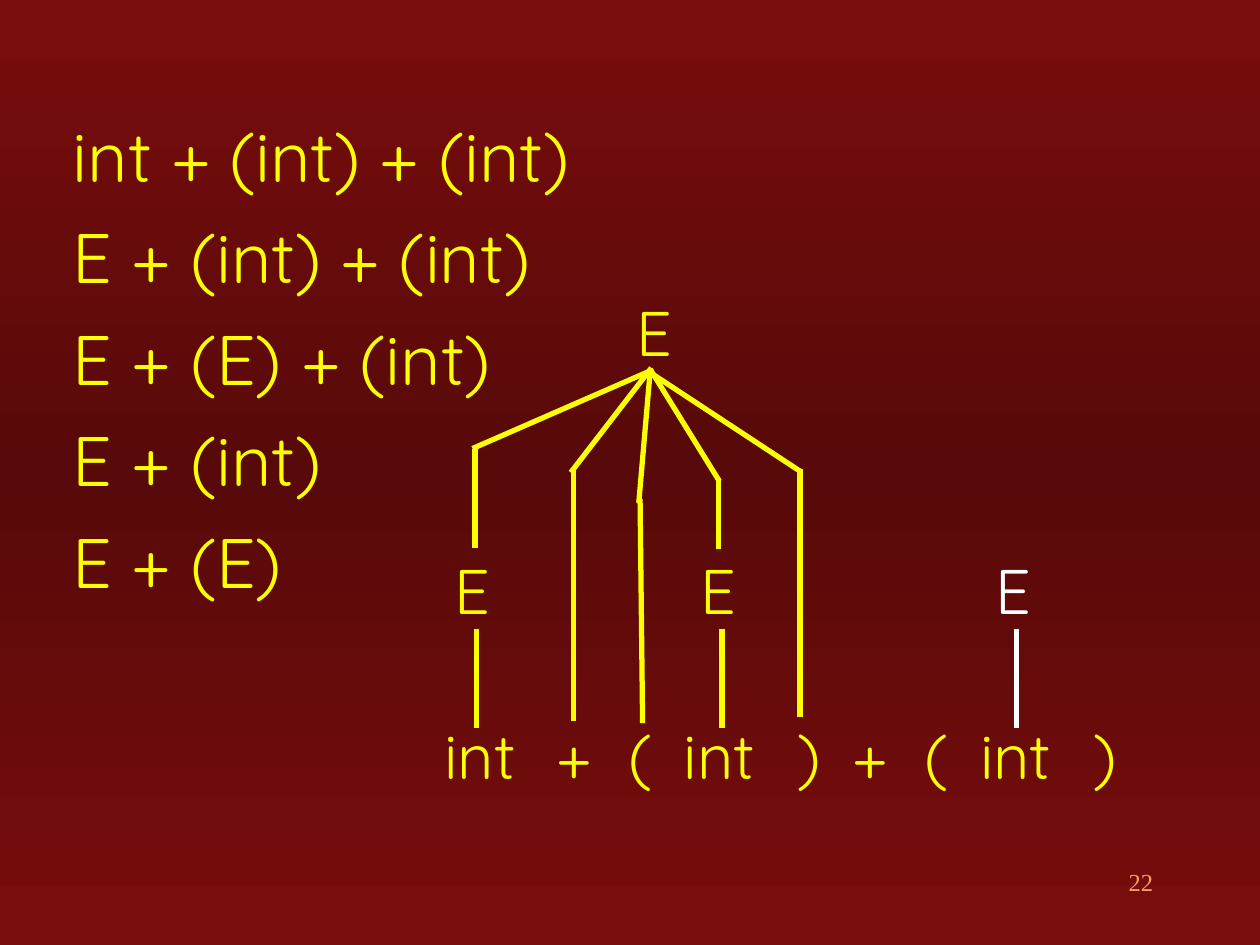
from copy import deepcopy

from pptx import Presentation
from pptx.dml.color import RGBColor
from pptx.enum.shapes import MSO_CONNECTOR as Connector
from pptx.enum.text import MSO_AUTO_SIZE as AutoSize, PP_ALIGN as Align
from pptx.oxml.ns import qn
from pptx.oxml.xmlchemy import OxmlElement
from pptx.util import Inches, Pt

YELLOW, WHITE, ORANGE = "FFFF00", "FFFFFF", "FF9966"
RED, DARK_RED = "790D0D", "580909"

DERIVATION = [
    "int + (int) + (int)",
    "E + (int) + (int)",
    "E + (E) + (int)",
    "E + (int)",
    "E + (E)",
]
TOKENS = [
    ("int", 3.43), ("+", 4.32), ("(", 4.89), ("int", 5.33), (")", 6.23),
    ("+", 6.67), ("(", 7.24), ("int", 7.68), (")", 8.58),
]
WIDTHS = {"int": 0.82, "+": 0.48, "E": 0.48, "(": 0.35, ")": 0.35}

# Stem x and colour of each E that stands above an int
REDUCTIONS = [(3.78, YELLOW), (5.73, YELLOW), (8.07, WHITE)]

# Lower part of each branch, then the slanted part up to the root
DROPS = [
    ((3.77, 3.56), (3.77, 4.35)),
    ((4.55, 3.73), (4.55, 5.72)),
    ((5.08, 3.96), (5.10, 5.74)),
    ((6.35, 3.72), (6.35, 5.69)),
    ((5.70, 3.79), (5.70, 4.36)),
]
SLANTS = [
    ((5.17, 2.94), (3.75, 3.56)),
    ((5.17, 2.92), (4.53, 3.75)),
    ((5.16, 2.95), (5.07, 3.99)),
    ((5.16, 2.93), (5.71, 3.82)),
    ((5.15, 2.95), (6.35, 3.74)),
]


def color(value):
    return RGBColor.from_string(value)


class Painter:
    font = "Quicksand"
    symbol_size = 36
    line_width = 3

    def __init__(self, page):
        self.page = page

    def background(self, edge, middle):
        """Fill the page with a vertical gradient, edge to middle to edge."""
        fill = self.page.background.fill
        fill.gradient()
        fill.gradient_angle = 90
        stop_list = self.page.element.find(".//" + qn("a:gsLst"))
        stop_list.append(deepcopy(stop_list[0]))
        stops = zip(fill.gradient_stops, (0, 0.5, 1), (edge, middle, edge))
        for stop, position, value in stops:
            stop.position = position
            stop.color.rgb = color(value)

    def text(self, lines, left, top, width, height, size, ink=YELLOW,
             font=None, align=Align.LEFT, before=0, wrap=True):
        box = self.page.shapes.add_textbox(
            Inches(left), Inches(top), Inches(width), Inches(height))
        frame = box.text_frame
        frame.word_wrap = wrap
        frame.text = "\n".join(lines)
        for para in frame.paragraphs:
            para.alignment = align
            para.space_before = Pt(before)
            para.font.name = font or self.font
            para.font.size = Pt(size)
            para.font.color.rgb = color(ink)
        return box

    def symbol(self, label, left, top, ink=YELLOW):
        """Add one grammar symbol of the parse tree."""
        box = self.text([label], left, top, WIDTHS[label], 0.7,
                        self.symbol_size, ink, wrap=False)
        box.text_frame.auto_size = AutoSize.SHAPE_TO_FIT_TEXT

    def line(self, start, end, ink=YELLOW):
        connector = self.page.shapes.add_connector(
            Connector.STRAIGHT, *map(Inches, start + end))
        connector.line.color.rgb = color(ink)
        connector.line.width = Pt(self.line_width)
        connector.element.spPr.append(OxmlElement("a:effectLst"))


def main():
    deck = Presentation()
    deck.slide_width, deck.slide_height = Inches(10), Inches(7.5)
    painter = Painter(deck.slides.add_slide(deck.slide_layouts[6]))
    painter.background(RED, DARK_RED)

    painter.text(["22"], 7.17, 6.83, 2.08, 0.5, 14, ORANGE,
                 font="Times New Roman", align=Align.RIGHT)
    painter.text(DERIVATION, 0.48, 0.84, 4.35, 4.81, 40, before=10)

    for label, left in TOKENS:
        painter.symbol(label, left, 5.64)
    for x, ink in REDUCTIONS:
        painter.line((x, 4.99), (x, 5.78), ink)
        painter.symbol("E", x - 0.27, 4.33, ink)

    painter.symbol("E", 4.95, 2.28)
    for start, end in DROPS + SLANTS:
        painter.line(start, end)

    deck.save("out.pptx")


if __name__ == "__main__":
    main()
